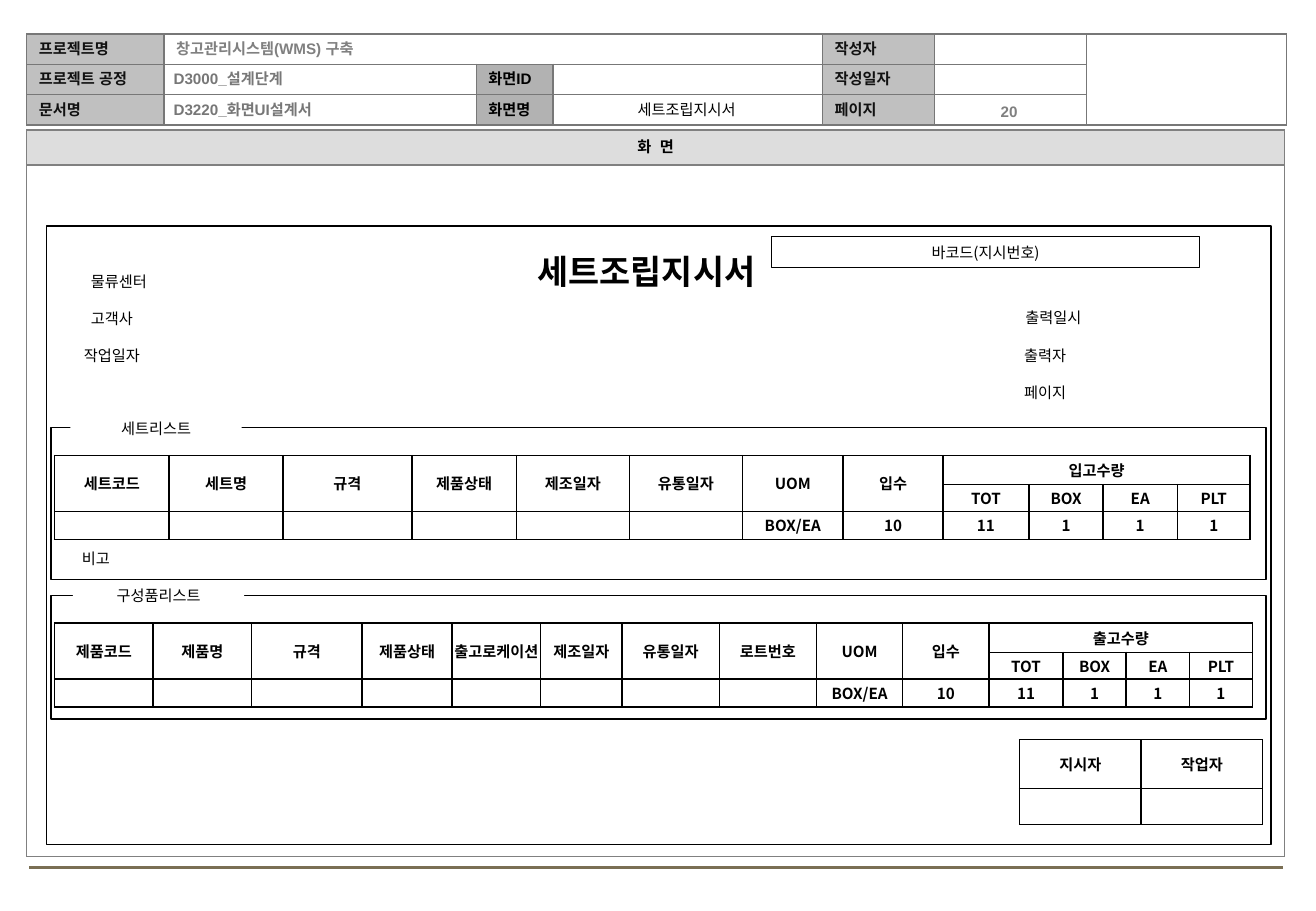
"""Builds the set assembly order screen design slide."""
from lxml import etree
from pptx import Presentation
from pptx.dml.color import RGBColor
from pptx.enum.shapes import MSO_CONNECTOR, MSO_SHAPE
from pptx.enum.text import MSO_ANCHOR, MSO_AUTO_SIZE, PP_ALIGN
from pptx.oxml.ns import qn
from pptx.util import Inches, Pt

LEFT, CENTER = PP_ALIGN.LEFT, PP_ALIGN.CENTER
TOP, MIDDLE = MSO_ANCHOR.TOP, MSO_ANCHOR.MIDDLE
NO_FIT = MSO_AUTO_SIZE.NONE
RECTANGLE, STRAIGHT = MSO_SHAPE.RECTANGLE, MSO_CONNECTOR.STRAIGHT

BLACK = RGBColor(0x00, 0x00, 0x00)
WHITE = RGBColor(0xFF, 0xFF, 0xFF)
INK = RGBColor(0x11, 0x11, 0x11)
BORDER = RGBColor(0x77, 0x77, 0x77)
GRAY = RGBColor(0x80, 0x80, 0x80)
LABEL_FILL = RGBColor(0xC0, 0xC0, 0xC0)
SCREEN_FILL = RGBColor(0xB2, 0xB2, 0xB2)
BAND_FILL = RGBColor(0xDD, 0xDD, 0xDD)
FOOT_LINE = RGBColor(0x7A, 0x6F, 0x54)
ARIAL, NOTO = "Arial", "Noto Sans CJK KR"

TITLE = "세트조립지시서"
DOCUMENT_ROWS = [
    ["프로젝트명", "창고관리시스템(WMS) 구축", "", "", "작성자", "", ""],
    ["프로젝트 공정", "", "화면ID", "", "작성일자", "", ""],
    ["문서명", "", "화면명", "", "페이지", "", ""],
]
DOCUMENT_COLS = [1.13, 2.57, 0.63, 2.22, 0.92, 1.25, 1.65]
DOCUMENT_FILLS = {0: LABEL_FILL, 2: SCREEN_FILL, 4: LABEL_FILL}
DOCUMENT_VALUES = [
    ("D3000_설계단계", 1.33, 0.52, 5.42, LEFT, BORDER),
    ("D3220_화면UI설계서", 1.33, 0.78, 5.42, LEFT, BORDER),
    ("20", 7.68, 0.79, 1.25, CENTER, GRAY),
]
FIELDS = [
    (TITLE, 4.56, 0.78, 2.18, CENTER),
    ("물류센터", 0.65, 2.19, 0.86, LEFT),
    ("고객사", 0.65, 2.5, 0.86, LEFT),
    ("작업일자", 0.57, 2.8, 0.7, CENTER),
    ("출력일시", 8.34, 2.49, 0.86, LEFT),
    ("출력자", 8.33, 2.8, 0.86, LEFT),
    ("페이지", 8.33, 3.11, 0.86, LEFT),
    ("비고", 0.44, 4.47, 0.7, CENTER),
]
QUANTITY_UNITS = ["TOT", "BOX", "EA", "PLT"]
SAMPLE = ["BOX/EA", "10", "11", "1", "1", "1"]
SECTIONS = [
    {"caption": "세트리스트", "caption_left": 0.58, "top": 3.52, "height": 1.25,
     "heads": ["세트코드", "세트명", "규격", "제품상태", "제조일자", "유통일자",
               "UOM", "입수"],
     "quantity": "입고수량",
     "cols": [0.94, 0.94, 1.06, 0.86, 0.93, 0.93, 0.83, 0.82,
              0.71, 0.61, 0.61, 0.6]},
    {"caption": "구성품리스트", "caption_left": 0.6, "top": 4.9, "height": 1.02,
     "heads": ["제품코드", "제품명", "규격", "제품상태", "출고로케이션", "제조일자",
               "유통일자", "로트번호", "UOM", "입수"],
     "quantity": "출고수량",
     "cols": [0.81, 0.81, 0.91, 0.74, 0.73, 0.67, 0.8, 0.8, 0.71, 0.71,
              0.61, 0.52, 0.52, 0.52]},
]


def write(frame, text, font=NOTO, color=BLACK, bold=False, align=LEFT, size=9):
    """Add one formatted run, or size the empty paragraph."""
    paragraph = frame.paragraphs[0]
    paragraph.alignment = align
    if not text:
        etree.SubElement(paragraph._p, qn("a:endParaRPr"), sz=str(size * 100))
        return
    run = paragraph.add_run()
    run.text = text
    run.font.size, run.font.bold, run.font.name = Pt(size), bold, font
    run.font.color.rgb = color
    etree.SubElement(run._r.get_or_add_rPr(), qn("a:ea"), typeface=font)


def add_field(slide, text, left, top, width, align, **style):
    """Place one line of text."""
    box = slide.shapes.add_textbox(
        Inches(left), Inches(top), Inches(width), Inches(0.25))
    box.text_frame.word_wrap = True
    write(box.text_frame, text, align=align, **style)


def add_box(slide, left, top, width, height, text="", fill=None, outlined=True):
    """Place a plain rectangle with optional caption."""
    box = slide.shapes.add_shape(
        RECTANGLE, Inches(left), Inches(top), Inches(width), Inches(height))
    box.shadow.inherit = False
    if fill is None:
        box.fill.background()
    else:
        box.fill.solid()
        box.fill.fore_color.rgb = fill
    if outlined:
        box.line.color.rgb = BLACK
        box.line.width = Pt(0.75)
    else:
        box.line.fill.background()
    if text:
        box.text_frame.vertical_anchor = TOP
        write(box.text_frame, text, align=CENTER)


def border_cell(cell, color):
    """Draw one-point borders on all four sides."""
    properties = cell._tc.get_or_add_tcPr()
    for side in ("a:lnL", "a:lnR", "a:lnT", "a:lnB"):
        line = etree.SubElement(properties, qn(side), w=str(Pt(1)))
        fill = etree.SubElement(line, qn("a:solidFill"))
        etree.SubElement(fill, qn("a:srgbClr"), val=str(color))


def add_grid(slide, left, top, cols, heights, rows, border=BLACK, spans=(),
             margins=(0.01, 0.01), fill_of=None, style_of=None):
    """Place a bordered table with merged cells."""
    grid = slide.shapes.add_table(
        len(heights), len(cols), Inches(left), Inches(top),
        Inches(sum(cols)), Inches(sum(heights))).table
    grid.first_row = grid.horz_banding = False
    for column, width in zip(grid.columns, cols):
        column.width = Inches(width)
    for row, height in zip(grid.rows, heights):
        row.height = Inches(height)
    for r, texts in enumerate(rows):
        for c, text in enumerate(texts):
            cell = grid.cell(r, c)
            border_cell(cell, border)
            cell.margin_left = cell.margin_right = Inches(margins[0])
            cell.margin_top = cell.margin_bottom = Inches(margins[1])
            cell.vertical_anchor = MIDDLE
            fill = fill_of(r, c) if fill_of else None
            if fill is None:
                cell.fill.background()
            else:
                cell.fill.solid()
                cell.fill.fore_color.rgb = fill
            style = style_of(c) if style_of else {"align": CENTER}
            write(cell.text_frame, text, bold=True, **style)
    for r, c, bottom, right in spans:
        grid.cell(r, c).merge(grid.cell(bottom, right))


def add_section(slide, section):
    """Place a captioned list with its quantity columns."""
    heads, cols, top = section["heads"], section["cols"], section["top"]
    first, last = len(heads), len(cols) - 1
    rows = [heads + [section["quantity"], "", "", ""],
            [""] * first + QUANTITY_UNITS,
            [""] * (len(cols) - len(SAMPLE)) + SAMPLE]
    spans = [(0, c, 1, c) for c in range(first)] + [(0, first, 0, last)]
    add_grid(slide, 0.45, top + 0.23, cols, [0.24, 0.22, 0.23], rows, spans=spans)
    add_box(slide, 0.42, top, 10, section["height"])
    add_box(slide, section["caption_left"], top - 0.12, 1.41, 0.25,
            section["caption"], WHITE, False)


def add_title(slide):
    """Format and move the title placeholder."""
    title = slide.shapes.title
    title.left, title.top = Inches(4.32), Inches(2.02)
    title.width, title.height = Inches(2), Inches(0.42)
    frame = title.text_frame
    frame.auto_size, frame.word_wrap = NO_FIT, False
    frame.vertical_anchor = TOP
    frame.margin_left = frame.margin_right = Inches(0.02)
    frame.margin_top = frame.margin_bottom = Inches(0.04)
    write(frame, TITLE, bold=True, align=CENTER, size=20)


def main():
    """Assemble and save the slide."""
    deck = Presentation()
    deck.slide_width, deck.slide_height = Inches(10.83), Inches(7.5)
    slide = deck.slides.add_slide(deck.slide_layouts[5])
    add_title(slide)

    foot = slide.shapes.add_connector(
        STRAIGHT, Inches(0.24), Inches(7.14), Inches(10.56), Inches(7.14))
    foot.line.color.rgb = FOOT_LINE
    foot.line.width = Pt(1.75)
    etree.SubElement(foot._element.spPr, qn("a:effectLst"))

    label_colors = {1: GRAY, 2: BLACK}
    add_grid(slide, 0.22, 0.28, DOCUMENT_COLS, [0.25] * 3, DOCUMENT_ROWS, BORDER,
             spans=[(0, 1, 0, 3), (0, 6, 2, 6)], margins=(0.1, 0.03),
             fill_of=lambda r, c: DOCUMENT_FILLS.get(c) if r or c != 2 else None,
             style_of=lambda c: {"font": ARIAL, "color": label_colors.get(c, INK)})
    for text, left, top, width, align, color in DOCUMENT_VALUES:
        add_field(slide, text, left, top, width, align,
                  font=ARIAL, color=color, bold=True)
    add_grid(slide, 0.22, 1.07, [10.35], [0.29, 5.69], [["화  면"], [""]], GRAY,
             margins=(0.02, 0), fill_of=lambda r, c: None if r else BAND_FILL,
             style_of=lambda c: {"font": ARIAL, "align": CENTER})

    add_box(slide, 0.38, 1.86, 10.08, 5.09)
    add_box(slide, 6.35, 1.95, 3.52, 0.25, "바코드(지시번호)")
    for section in SECTIONS:
        add_section(slide, section)
    for field in FIELDS:
        add_field(slide, *field)
    add_grid(slide, 8.39, 6.09, [1, 1], [0.4, 0.3], [["지시자", "작업자"], ["", ""]])
    deck.save("out.pptx")


if __name__ == "__main__":
    main()
